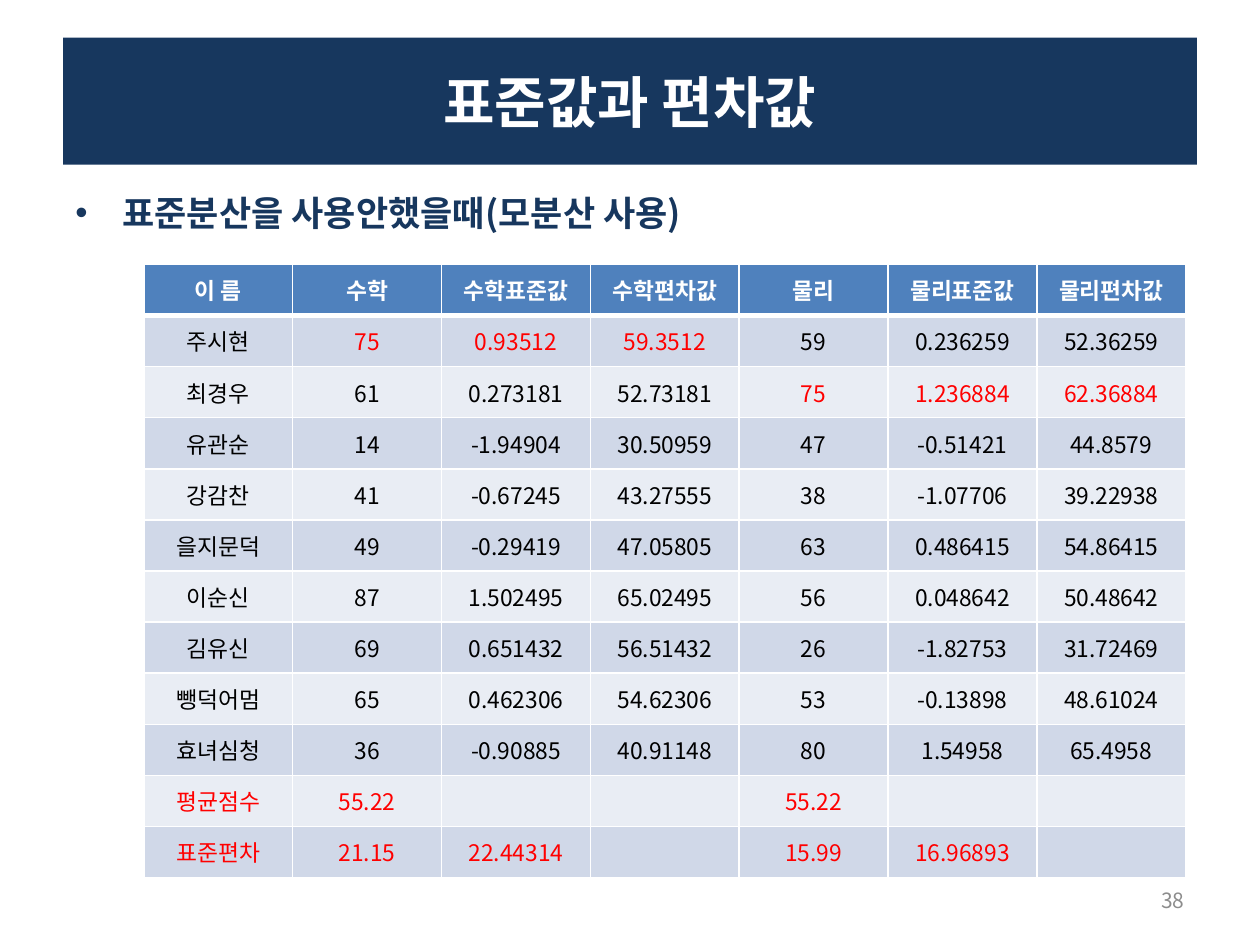
from dataclasses import dataclass

from lxml.etree import SubElement
from pptx import Presentation
from pptx.dml.color import RGBColor
from pptx.enum.text import MSO_ANCHOR, PP_ALIGN
from pptx.oxml.ns import qn
from pptx.util import Cm, Pt

TITLE = "표준값과 편차값"
SUBTITLE = "표준분산을 사용안했을때(모분산 사용)"
PAGE_NUMBER = "38"

HEADERS = ["이 름", "수학", "수학표준값", "수학편차값", "물리", "물리표준값", "물리편차값"]
SCORES = [
    ["주시현", "75", "0.93512", "59.3512", "59", "0.236259", "52.36259"],
    ["최경우", "61", "0.273181", "52.73181", "75", "1.236884", "62.36884"],
    ["유관순", "14", "-1.94904", "30.50959", "47", "-0.51421", "44.8579"],
    ["강감찬", "41", "-0.67245", "43.27555", "38", "-1.07706", "39.22938"],
    ["을지문덕", "49", "-0.29419", "47.05805", "63", "0.486415", "54.86415"],
    ["이순신", "87", "1.502495", "65.02495", "56", "0.048642", "50.48642"],
    ["김유신", "69", "0.651432", "56.51432", "26", "-1.82753", "31.72469"],
    ["뺑덕어멈", "65", "0.462306", "54.62306", "53", "-0.13898", "48.61024"],
    ["효녀심청", "36", "-0.90885", "40.91148", "80", "1.54958", "65.4958"],
]
SUMMARY = [
    ["평균점수", "55.22", "", "", "55.22", "", ""],
    ["표준편차", "21.15", "22.44314", "", "15.99", "16.96893", ""],
]
# The two students scoring 75: maths for the first, physics for the second
HIGHLIGHTS = {(1, column) for column in (1, 2, 3)} | {(2, column) for column in (4, 5, 6)}


@dataclass(frozen=True)
class Theme:
    font: str = "Noto Sans CJK KR"
    navy: str = "17375E"
    header: str = "4F81BD"
    bands: tuple = ("E9EDF4", "D0D8E8")
    white: str = "FFFFFF"
    black: str = "000000"
    red: str = "FF0000"
    grey: str = "8C8C8C"
    title_size: int = 32
    subtitle_size: int = 20
    table_size: int = 13
    page_size: int = 12


THEME = Theme()


def paint(part, color):
    part.fill.solid()
    part.fill.fore_color.rgb = RGBColor.from_string(color)


def write(paragraph, text, size, color, bold=False, align=PP_ALIGN.LEFT):
    paragraph.alignment = align
    run = paragraph.add_run()
    run.text = text
    run.font.size = Pt(size)
    run.font.bold = bold
    run.font.name = THEME.font
    run.font.color.rgb = RGBColor.from_string(color)
    SubElement(run.font._element, qn("a:ea"), typeface=THEME.font)


def add_text_box(slide, left, top, width, height):
    frame = slide.shapes.add_textbox(Cm(left), Cm(top), Cm(width), Cm(height)).text_frame
    frame.word_wrap = True
    return frame


def add_borders(cell, is_header):
    properties = cell._tc.get_or_add_tcPr()
    for side in ("lnL", "lnR", "lnT", "lnB"):
        points = 3 if is_header and side == "lnB" else 1
        line = SubElement(properties, qn(f"a:{side}"), w=str(Pt(points)))
        SubElement(SubElement(line, qn("a:solidFill")), qn("a:srgbClr"), val=THEME.white)


def add_title(slide):
    title = slide.shapes.title
    title.left, title.top, title.width, title.height = Cm(1.27), Cm(0.76), Cm(22.86), Cm(2.56)
    paint(title, THEME.navy)
    title.text_frame.vertical_anchor = MSO_ANCHOR.MIDDLE
    write(title.text_frame.paragraphs[0], TITLE, THEME.title_size, THEME.white,
          True, PP_ALIGN.CENTER)


def add_subtitle(slide):
    paragraph = add_text_box(slide, 1.27, 3.73, 22.86, 1.4).paragraphs[0]
    properties = paragraph._p.get_or_add_pPr()
    properties.set("marL", str(Cm(0.95)))
    properties.set("indent", str(Cm(-0.95)))
    SubElement(properties, qn("a:buFont"), typeface="Arial")
    SubElement(properties, qn("a:buChar"), char="•")
    write(paragraph, SUBTITLE, THEME.subtitle_size, THEME.navy, True)


def add_score_table(slide):
    rows = [HEADERS] + SCORES + SUMMARY
    first_summary = 1 + len(SCORES)
    table = slide.shapes.add_table(len(rows), len(HEADERS), Cm(2.9), Cm(5.33),
                                   Cm(21), Cm(12.37)).table
    for r, values in enumerate(rows):
        is_header = r == 0
        for c, value in enumerate(values):
            cell = table.cell(r, c)
            cell.margin_left = cell.margin_right = Cm(0.18)
            cell.margin_top = cell.margin_bottom = 0
            cell.vertical_anchor = MSO_ANCHOR.MIDDLE
            add_borders(cell, is_header)
            paint(cell, THEME.header if is_header else THEME.bands[r % 2])
            if is_header:
                color = THEME.white
            elif r >= first_summary or (r, c) in HIGHLIGHTS:
                color = THEME.red
            else:
                color = THEME.black
            if value:
                write(cell.text_frame.paragraphs[0], value, THEME.table_size, color,
                      is_header, PP_ALIGN.CENTER)


def add_page_number(slide):
    frame = add_text_box(slide, 18.2, 17.65, 5.93, 1.01)
    frame.vertical_anchor = MSO_ANCHOR.MIDDLE
    write(frame.paragraphs[0], PAGE_NUMBER, THEME.page_size, THEME.grey, align=PP_ALIGN.RIGHT)


def main():
    deck = Presentation()
    deck.slide_width, deck.slide_height = Cm(25.4), Cm(19.05)
    slide = deck.slides.add_slide(deck.slide_layouts[5])
    add_title(slide)
    add_subtitle(slide)
    add_score_table(slide)
    add_page_number(slide)
    deck.save("out.pptx")


if __name__ == "__main__":
    main()
